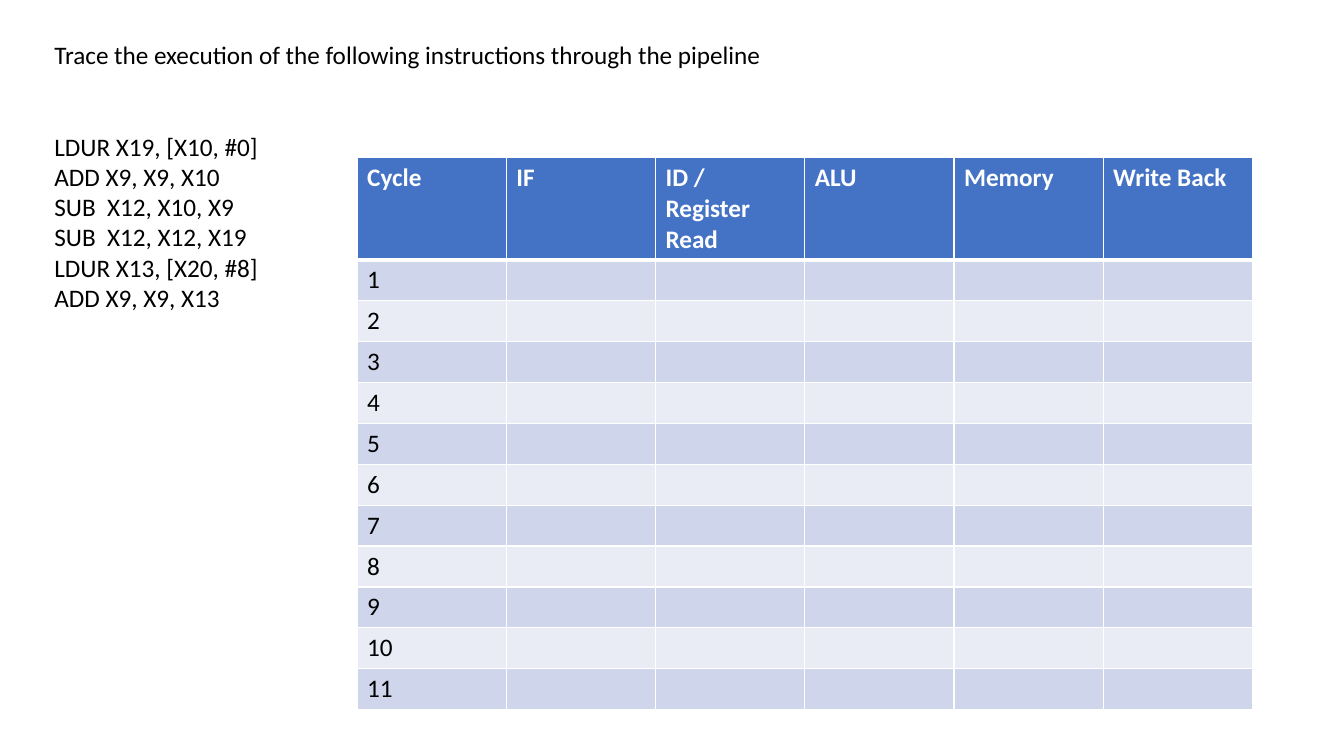
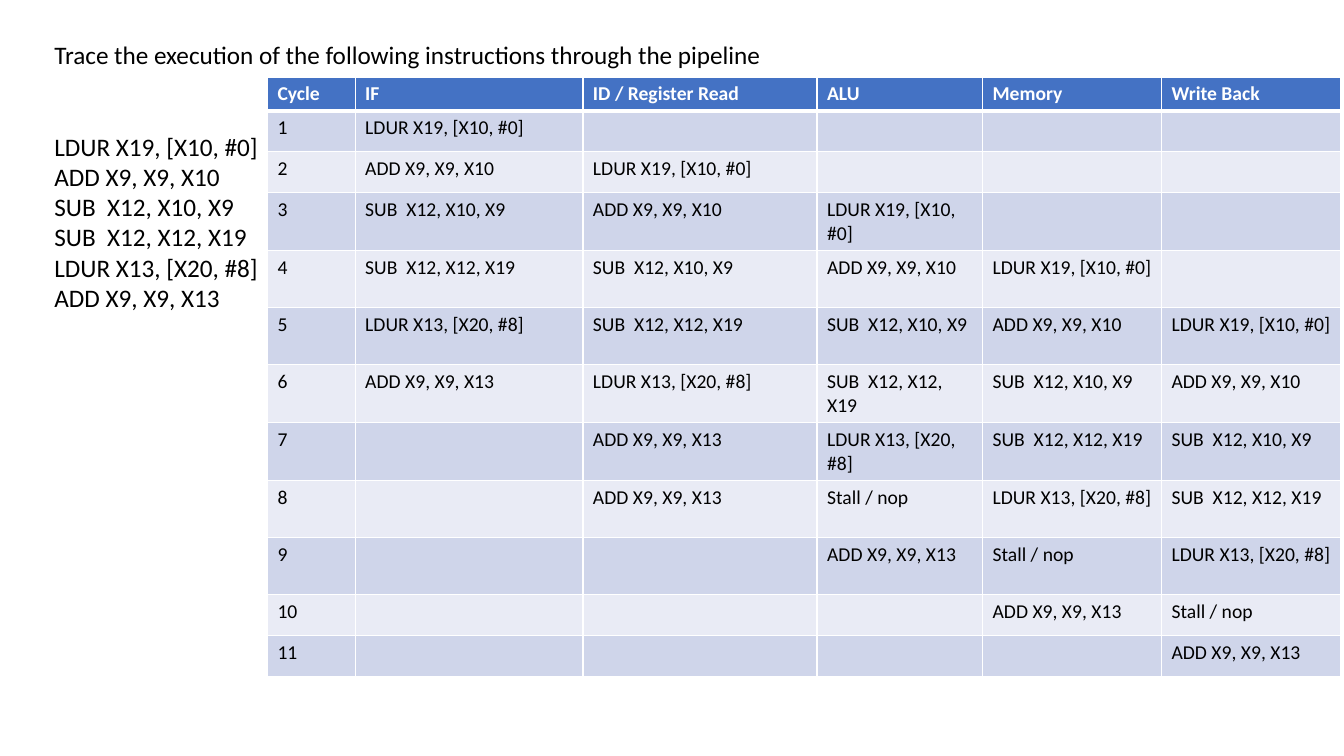
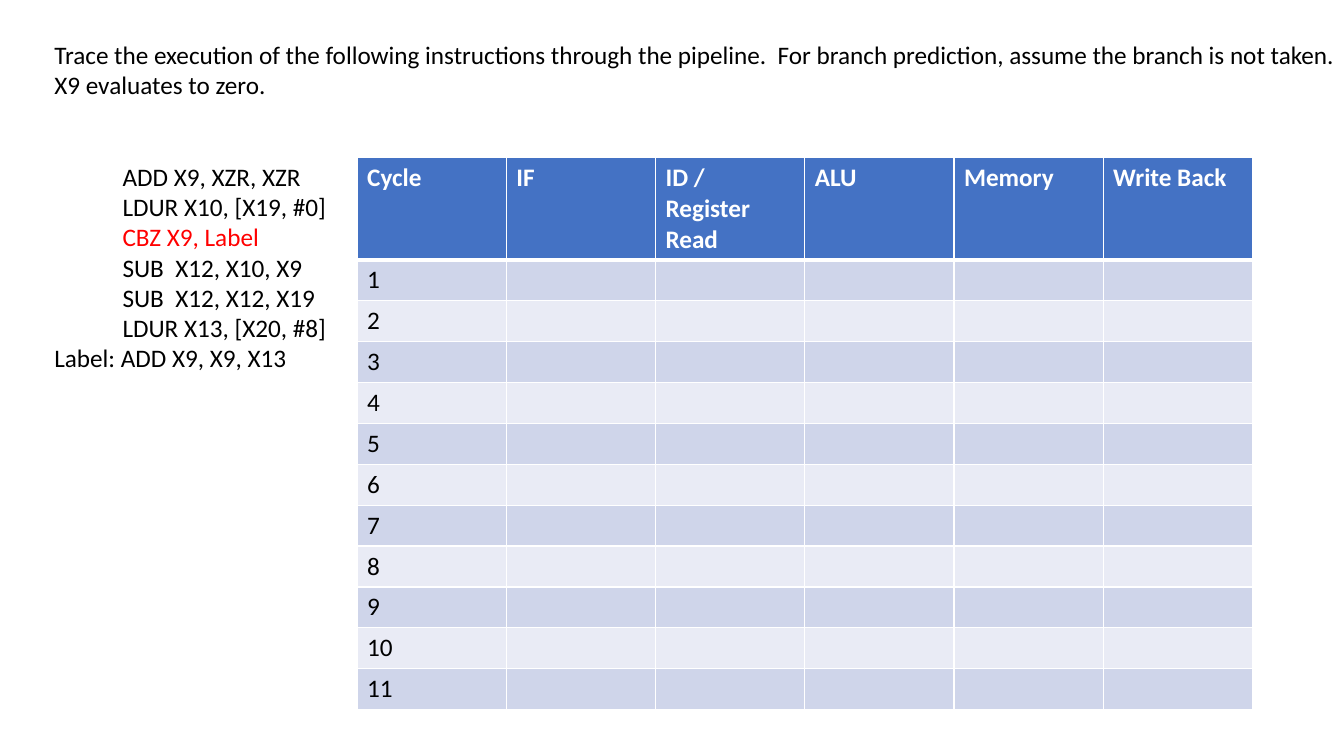
"""Build three slides that trace instructions through a processor pipeline."""
from dataclasses import dataclass

from lxml import etree
from pptx import Presentation
from pptx.dml import color
from pptx.enum import text
from pptx.oxml import ns
from pptx.util import Cm, Pt


@dataclass(frozen=True)
class Theme:
    font: str = "Calibri"
    body_size: int = 18
    compact_size: int = 14
    code_gap: int = 44
    ink: str = "000000"
    highlight: str = "FF0000"
    white: str = "FFFFFF"
    header: str = "4472C4"
    bands: tuple = ("CFD5EA", "E9EBF5")
    thin_line: int = 1
    thick_line: int = 3


STAGES = ["IF", "ID / Register Read", "ALU", "Memory", "Write Back"]
CYCLES = 11
ROW_HEIGHT = 1.03
TASK = "Trace the execution of the following instructions through the pipeline"
PROGRAM = [
    "LDUR X19, [X10, #0]",
    "ADD X9, X9, X10",
    "SUB  X12, X10, X9",
    "SUB  X12, X12, X19",
    "LDUR X13, [X20, #8]",
    "ADD X9, X9, X13",
]
BRANCH_TASK = [
    TASK + ".  For branch prediction, assume the branch is not taken.",
    "X9 evaluates to zero.",
]
BRANCH_PROGRAM = [
    "            ADD X9, XZR, XZR",
    "            LDUR X10, [X19, #0]",
    "            CBZ X9, Label",
    "            SUB  X12, X10, X9",
    "            SUB  X12, X12, X19",
    "            LDUR X13, [X20, #8]",
    "Label: ADD X9, X9, X13",
]


class Deck:
    def __init__(self, theme):
        self.theme = theme
        self.presentation = Presentation()
        self.presentation.slide_width = Cm(33.87)
        self.presentation.slide_height = Cm(19.05)
        self.slide = None

    def add_slide(self):
        self.slide = self.presentation.slides.add_slide(self.presentation.slide_layouts[6])

    def style(self, paragraph, size, ink, bold=False):
        for run in paragraph.runs:
            run.font.name = self.theme.font
            run.font.size = Pt(size)
            run.font.bold = bold
            run.font.color.rgb = color.RGBColor.from_string(ink)

    def add_exercise(self, task, program, width, height, branch=None):
        shape = self.slide.shapes.add_textbox(Cm(1.12), Cm(0.86), Cm(width), Cm(height))
        frame = shape.text_frame
        frame.word_wrap = True
        frame.auto_size = text.MSO_AUTO_SIZE.NONE
        frame.margin_right = 0
        frame.text = "\n".join(task + program)
        for paragraph in frame.paragraphs:
            is_branch = branch is not None and paragraph.text.strip() == branch
            self.style(paragraph, self.theme.body_size,
                       self.theme.highlight if is_branch else self.theme.ink)
        frame.paragraphs[len(task)].space_before = Pt(self.theme.code_gap)

    def add_borders(self, cell, top, bottom):
        properties = cell._tc.get_or_add_tcPr()
        thin = self.theme.thin_line
        for side, width in (("L", thin), ("R", thin), ("T", top), ("B", bottom)):
            line = etree.SubElement(properties, ns.qn(f"a:ln{side}"), w=str(Pt(width)))
            fill = etree.SubElement(line, ns.qn("a:solidFill"))
            etree.SubElement(fill, ns.qn("a:srgbClr"), val=self.theme.white)

    def add_cycle_table(self, left, top, widths, heights, size, stages=None):
        theme = self.theme
        frame = self.slide.shapes.add_table(
            CYCLES + 1, len(widths), Cm(left), Cm(top), Cm(sum(widths)), Cm(sum(heights)))
        table = frame.table
        for column, width in zip(table.columns, widths):
            column.width = Cm(width)
        for row, height in zip(table.rows, heights):
            row.height = Cm(height)
        rows = [["Cycle"] + STAGES]
        for cycle in range(CYCLES):
            rows.append([str(cycle + 1)] + [stage[cycle] for stage in stages or []])
        for row_index, row in enumerate(table.rows):
            is_header = row_index == 0
            fill = theme.header if is_header else theme.bands[(row_index - 1) % 2]
            for column_index, cell in enumerate(row.cells):
                self.add_borders(cell,
                                 theme.thick_line if row_index == 1 else theme.thin_line,
                                 theme.thick_line if is_header else theme.thin_line)
                cell.fill.solid()
                cell.fill.fore_color.rgb = color.RGBColor.from_string(fill)
                if column_index < len(rows[row_index]) and rows[row_index][column_index]:
                    cell.text_frame.text = rows[row_index][column_index]
                    self.style(cell.text_frame.paragraphs[0], size,
                               theme.white if is_header else theme.ink, is_header)

    def add_blank_table(self):
        self.add_cycle_table(9, 3.97, [3.76] * 6, [2.56] + [ROW_HEIGHT] * CYCLES,
                             self.theme.body_size)


def trace_stages():
    stalled = PROGRAM[:-1] + ["Stall / nop"] + PROGRAM[-1:]
    sequences = [PROGRAM, PROGRAM + PROGRAM[-1:], stalled, stalled, stalled]
    return [([""] * start + sequence + [""] * CYCLES)[:CYCLES]
            for start, sequence in enumerate(sequences)]


def main():
    deck = Deck(Theme())

    deck.add_slide()
    deck.add_exercise([TASK], PROGRAM, 18.54, 7.19)
    deck.add_blank_table()

    deck.add_slide()
    deck.add_exercise([TASK], PROGRAM, 18.54, 7.19)
    heights = [0.84] + [ROW_HEIGHT] * 2 + [1.44] * 7 + [ROW_HEIGHT] * 2
    deck.add_cycle_table(6.74, 1.94, [2.21, 5.74, 5.9, 4.17, 4.51, 4.51], heights,
                         deck.theme.compact_size, trace_stages())

    deck.add_slide()
    deck.add_exercise(BRANCH_TASK, BRANCH_PROGRAM, 32.7, 8.71, "CBZ X9, Label")
    deck.add_blank_table()

    deck.presentation.save("out.pptx")


if __name__ == "__main__":
    main()
